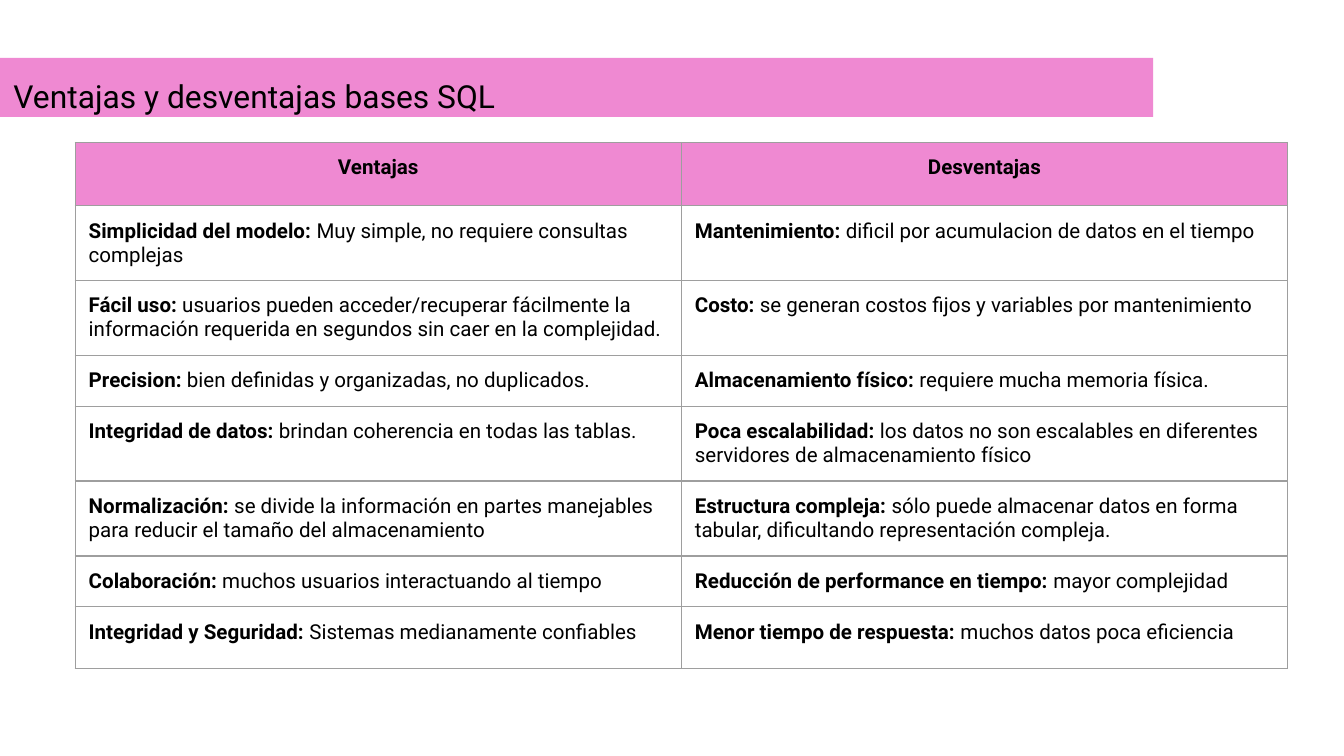
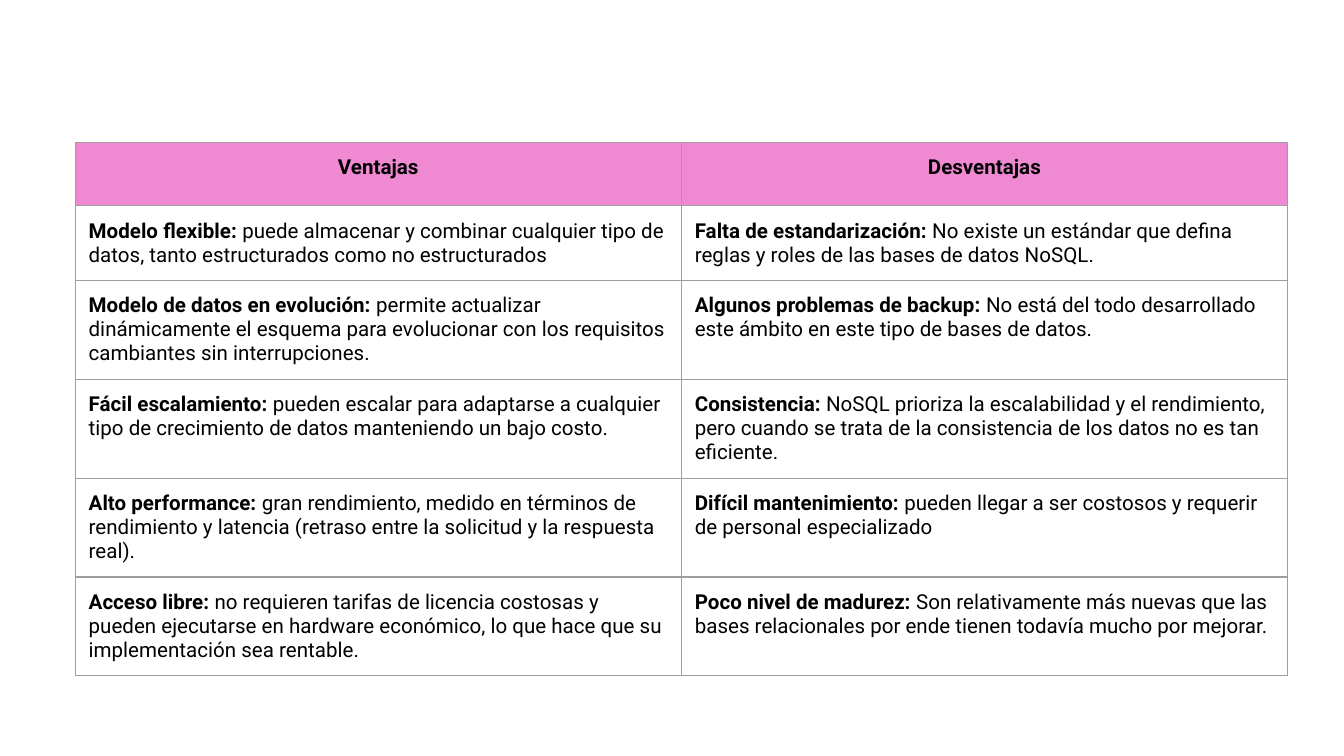
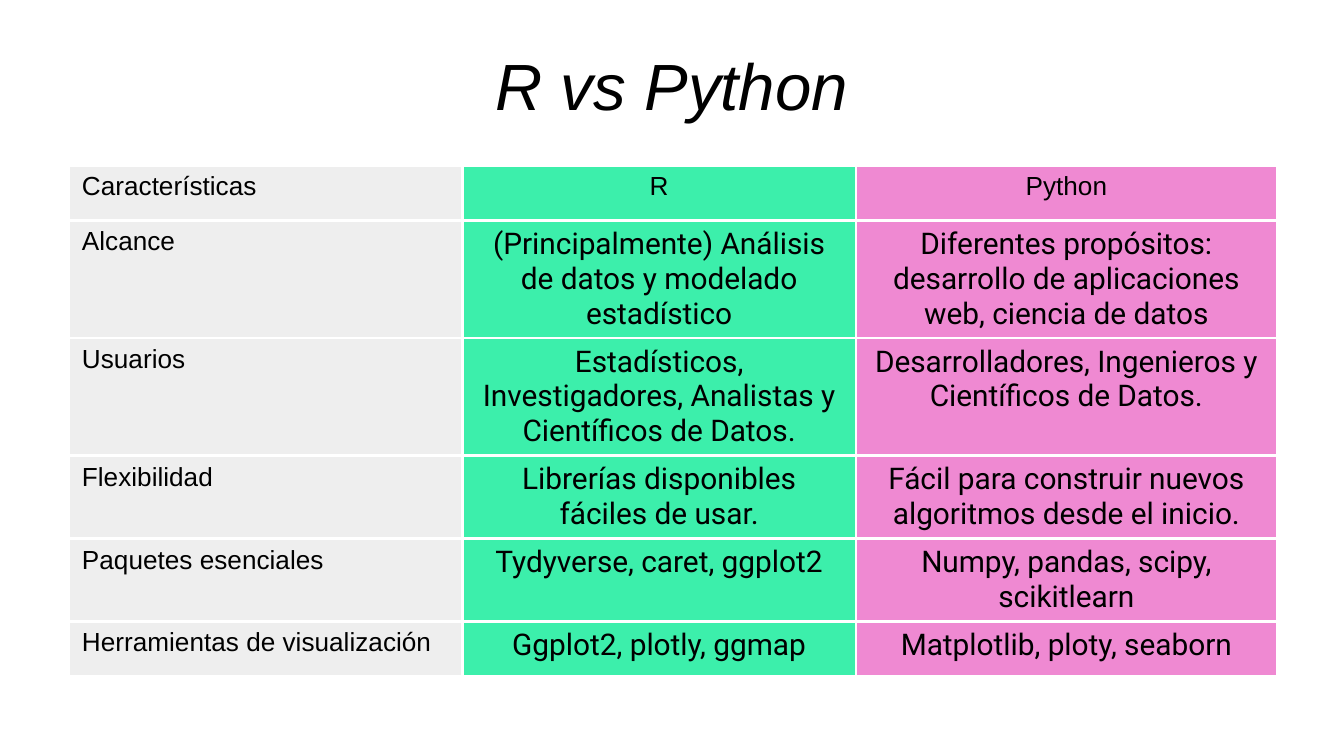
"""Build three comparison slides: SQL, NoSQL, and R vs Python."""
from lxml.etree import SubElement as Sub
from pptx import Presentation
from pptx.dml.color import RGBColor
from pptx.enum.text import MSO_ANCHOR as Anchor, MSO_AUTO_SIZE as Fit, PP_ALIGN as Align
from pptx.oxml.ns import qn
from pptx.util import Inches, Pt

PINK, MINT, PALE = "EF89D2", "3CEFAB", "EEEEEE"
BLACK, GRAY, WHITE = "000000", "9E9E9E", "FFFFFF"


def grid(steps):
    return Inches(steps / 10)


def paint(target, tint):
    target.solid()
    target.fore_color.rgb = RGBColor.from_string(tint)


HEADS = ("Ventajas", "Desventajas")
SQL = [
    HEADS,
    ("Simplicidad del modelo: Muy simple, no requiere consultas complejas",
     "Mantenimiento: dificil por acumulacion de datos en el tiempo"),
    ("Fácil uso: usuarios pueden acceder/recuperar fácilmente la información requerida en segundos sin caer en la complejidad.",
     "Costo: se generan costos fijos y variables por mantenimiento"),
    ("Precision: bien definidas y organizadas, no duplicados.",
     "Almacenamiento físico: requiere mucha memoria física."),
    ("Integridad de datos: brindan coherencia en todas las tablas.",
     "Poca escalabilidad: los datos no son escalables en diferentes servidores de almacenamiento físico"),
    ("Normalización: se divide la información en partes manejables para reducir el tamaño del almacenamiento",
     "Estructura compleja: sólo puede almacenar datos en forma tabular, dificultando representación compleja."),
    ("Colaboración: muchos usuarios interactuando al tiempo",
     "Reducción de performance en tiempo: mayor complejidad"),
    ("Integridad y Seguridad: Sistemas medianamente confiables",
     "Menor tiempo de respuesta: muchos datos poca eficiencia"),
]
NOSQL = [
    HEADS,
    ("Modelo flexible: puede almacenar y combinar cualquier tipo de datos, tanto estructurados como no estructurados",
     "Falta de estandarización: No existe un estándar que defina reglas y roles de las bases de datos NoSQL."),
    ("Modelo de datos en evolución: permite actualizar dinámicamente el esquema para evolucionar con los requisitos cambiantes sin interrupciones.",
     "Algunos problemas de backup: No está del todo desarrollado este ámbito en este tipo de bases de datos."),
    ("Fácil escalamiento: pueden escalar para adaptarse a cualquier tipo de crecimiento de datos manteniendo un bajo costo.",
     "Consistencia: NoSQL prioriza la escalabilidad y el rendimiento, pero cuando se trata de la consistencia de los datos no es tan eficiente."),
    ("Alto performance: gran rendimiento, medido en términos de rendimiento y latencia (retraso entre la solicitud y la respuesta real).",
     "Difícil mantenimiento: pueden llegar a ser costosos y requerir de personal especializado"),
    ("Acceso libre: no requieren tarifas de licencia costosas y pueden ejecutarse en hardware económico, lo que hace que su implementación sea rentable.",
     "Poco nivel de madurez: Son relativamente más nuevas que las bases relacionales por ende tienen todavía mucho por mejorar."),
]
CODE = [
    ("Características", "R", "Python"),
    ("Alcance", "(Principalmente) Análisis de datos y modelado estadístico",
     "Diferentes propósitos: desarrollo de aplicaciones web, ciencia de datos"),
    ("Usuarios", "Estadísticos, Investigadores, Analistas y Científicos de Datos.",
     "Desarrolladores, Ingenieros y Científicos de Datos."),
    ("Flexibilidad", "Librerías disponibles fáciles de usar.",
     "Fácil para construir nuevos algoritmos desde el inicio."),
    ("Paquetes esenciales", "Tydyverse, caret, ggplot2", "Numpy, pandas, scipy, scikitlearn"),
    ("Herramientas de visualización", "Ggplot2, plotly, ggmap", "Matplotlib, ploty, seaborn"),
]

BAND = ("Ventajas y desventajas bases SQL", (0, 4.3, 85.8, 4.4), "Roboto", 17, Align.LEFT, PINK)
HERO = ("R vs Python", (7.1, 1.5, 85.8, 7.6), "Arial", 35, Align.CENTER, None)
PAIR = ((5.6, 10.6), (45.1, 45.1), (PINK, PINK), GRAY, 0.75, 1)
TRIO = ((5.1, 12.3), (29.3, 29.3, 31.3), (PALE, MINT, PINK), WHITE, 1.5, 0.5)
TALL = (4.7, 4.2, 4, 3.7, 1.8, 4, 1.9, 4.6)

deck = Presentation()
deck.slide_width, deck.slide_height = grid(100), grid(56.25)

for head, look, data, highs in (
    (BAND, PAIR, SQL, TALL),
    (None, PAIR, NOSQL, TALL[:6]),
    (HERO, TRIO, CODE, (4.1,) * 6),
):
    page = deck.slides.add_slide(deck.slide_layouts[5 if head else 6])
    if head:
        words, box, face, size, align, tint = head
        title = page.shapes.title
        title.left, title.top, title.width, title.height = map(grid, box)
        if tint:
            paint(title.fill, tint)
        frame = title.text_frame
        frame.text = words
        frame.auto_size, frame.vertical_anchor = Fit.NONE, Anchor.TOP
        frame.margin_left = frame.margin_right = grid(1)
        frame.margin_top = frame.margin_bottom = grid(1)
        para = frame.paragraphs[0]
        para.alignment, para.line_spacing = align, 1.15
        font = para.runs[0].font
        font.name, font.size, font.italic = face, Pt(size), head is HERO
        paint(font.fill, BLACK)

    spot, wides, tints, rule, thick, pad = look
    full = look is TRIO
    table = page.shapes.add_table(
        len(data), len(wides), *map(grid, (*spot, sum(wides), sum(highs)))).table
    table.first_row = table.horz_banding = False
    for part, wide in zip(table.columns, wides):
        part.width = grid(wide)
    for part, high in zip(table.rows, highs):
        part.height = grid(high)

    for row, texts in enumerate(data):
        for col, text in enumerate(texts):
            cell = table.cell(row, col)
            cell.margin_left = cell.margin_right = grid(1)
            cell.margin_top = cell.margin_bottom = grid(pad)
            props = cell._tc.get_or_add_tcPr()
            for side in ("lnL", "lnR", "lnT", "lnB"):
                edge = Sub(props, qn(f"a:{side}"), w=str(Pt(thick)))
                Sub(Sub(edge, qn("a:solidFill")), qn("a:srgbClr"), val=rule)
            if full or row == 0:
                paint(cell.fill, tints[col])
            else:
                cell.fill.background()

            label, gap, rest = (text, "", "") if full else text.partition(": ")
            para = cell.text_frame.paragraphs[0]
            para.text = label + gap
            if rest:
                para.add_run().text = rest
            mid = col > 0 if full else row == 0
            para.alignment = Align.CENTER if mid else Align.LEFT
            plain = full and (row == 0 or col == 0)
            for spot_no, run in enumerate(para.runs):
                font = run.font
                font.name = "Arial" if plain else "Roboto"
                font.size = Pt(14 if plain else 16 if full else 11)
                font.bold = not full and spot_no == 0
                paint(font.fill, BLACK)

deck.save("out.pptx")
